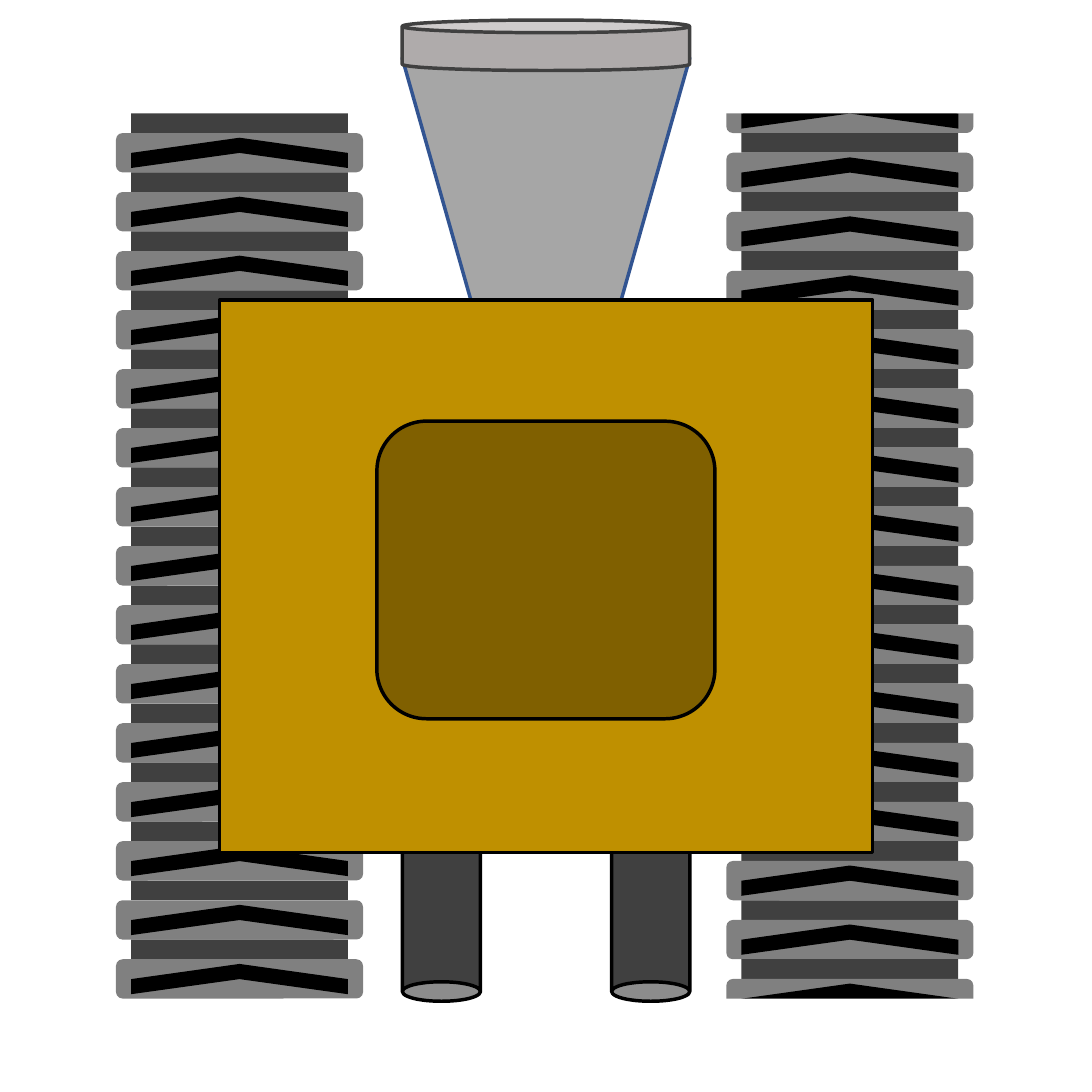
"""Draw a tracked machine seen from above, with its hopper and two pipes."""
from math import ceil

from pptx import Presentation
from pptx.dml.color import RGBColor as Rgb
from pptx.enum.shapes import MSO_SHAPE as Kind
from pptx.util import Inches, Pt

HUES = {
    "white": "FFFFFF", "black": "000000", "pad": "808080", "dark": "404040",
    "cone": "A6A6A6", "edge": "325491", "rim": "AFABAB",
    "gold": "BF9000", "brown": "806000",
}
SIDE = 4.33


def put(slide, kind, box, fill, line=None, turn=0):
    """Place one flat shape in a box given in inches."""
    shape = slide.shapes.add_shape(kind, *map(Inches, box))
    shape.shadow.inherit = False
    shape.rotation = turn
    shape.fill.solid()
    shape.fill.fore_color.rgb = Rgb.from_string(HUES[fill])
    if line:
        shape.line.color.rgb = Rgb.from_string(HUES[line])
        shape.line.width = Pt(1)
    else:
        shape.line.fill.background()
    return shape


def track(slide, box, shift):
    """Fill a box with treads, moved by a share of the pitch."""
    left, top, width, height = box
    pitch = height / 15
    pad, gap = pitch * 2 / 3, pitch / 3
    inset, rib = 0.06, 0.12
    inner = width - 2 * inset
    start = shift * pitch
    for row in range(ceil((height - start) / pitch)):
        y = top + start + row * pitch
        if y - gap >= top:
            put(slide, Kind.RECTANGLE, (left + inset, y - gap, inner, gap), "dark")
        put(slide, Kind.ROUNDED_RECTANGLE, (left, y, width, pad), "pad")
        spot = (left + (width - rib) / 2, y + (pad - inner) / 2, rib, inner)
        put(slide, Kind.CHEVRON, spot, "black", turn=270)
    if start < 0:
        for y, tall in ((top - rib, rib), (top + height, 0.15)):
            put(slide, Kind.RECTANGLE, (left - inset, y, width + 2 * inset, tall), "white")


def body(slide, box):
    """Draw pipes, hopper and hull centred in a box."""
    left, top, width, height = box
    mid = left + width / 2
    span, pipe, long = 1.14, 0.31, 1.1
    edge = mid - span / 2
    for x in (edge + span - pipe, edge):
        put(slide, Kind.CAN, (x, top + height - long, pipe, long), "dark", "black", 180)
    cone = put(slide, Kind.TRAPEZOID, (edge, top + 0.15, span, 2.01), "cone", "edge", 180)
    cone.adjustments[0] = 0.5
    put(slide, Kind.RECTANGLE, (left, top + 1.11, width, 2.19), "gold", "black")
    put(slide, Kind.ROUNDED_RECTANGLE, (mid - 0.67, top + 1.59, 1.34, 1.18), "brown", "black")
    put(slide, Kind.CAN, (edge, top, span, 0.2), "rim", "dark")


def main():
    """Build the slide and save it."""
    deck = Presentation()
    deck.slide_width = deck.slide_height = Inches(SIDE)
    slide = deck.slides.add_slide(deck.slide_layouts[6])
    track(slide, (2.88, 0.45, 0.98, 3.51), -1 / 3)
    track(slide, (0.46, 0.45, 0.98, 3.51), 1 / 3)
    body(slide, (0.87, 0.08, 2.59, 3.89))
    deck.save("out.pptx")


main()
